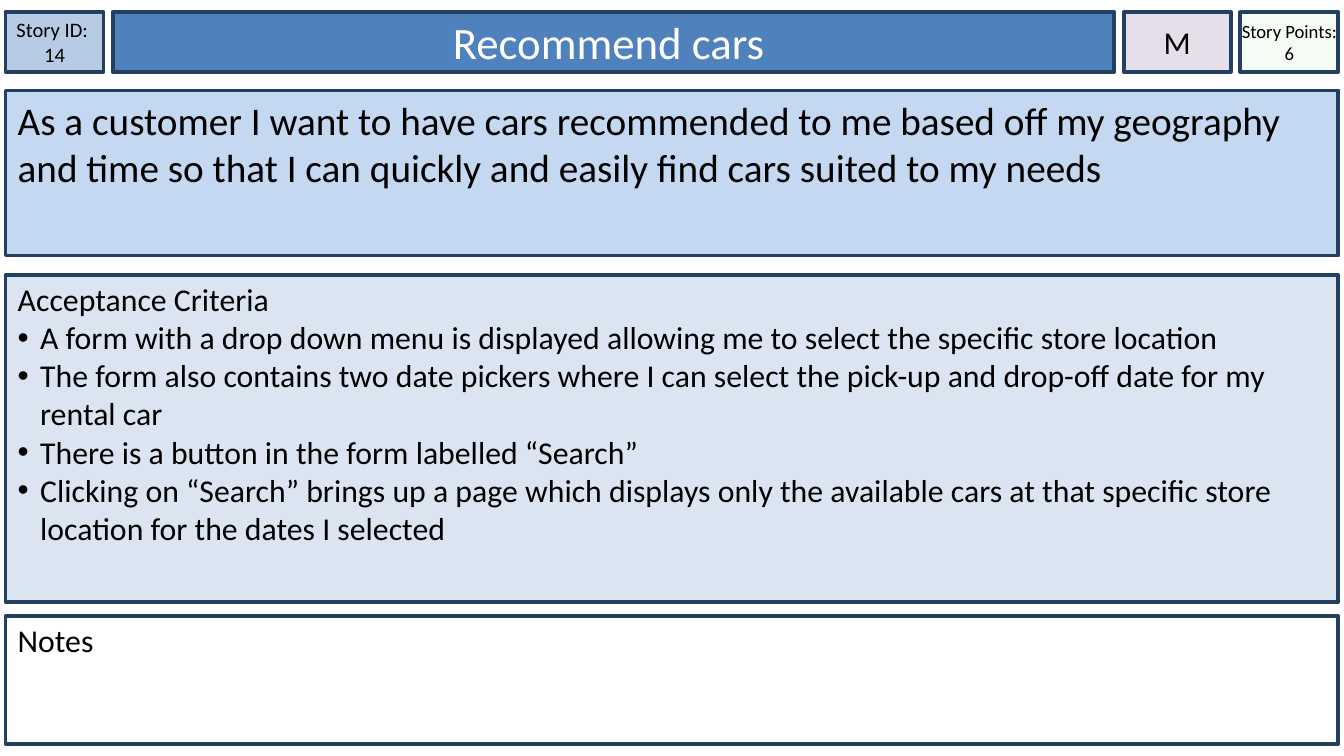
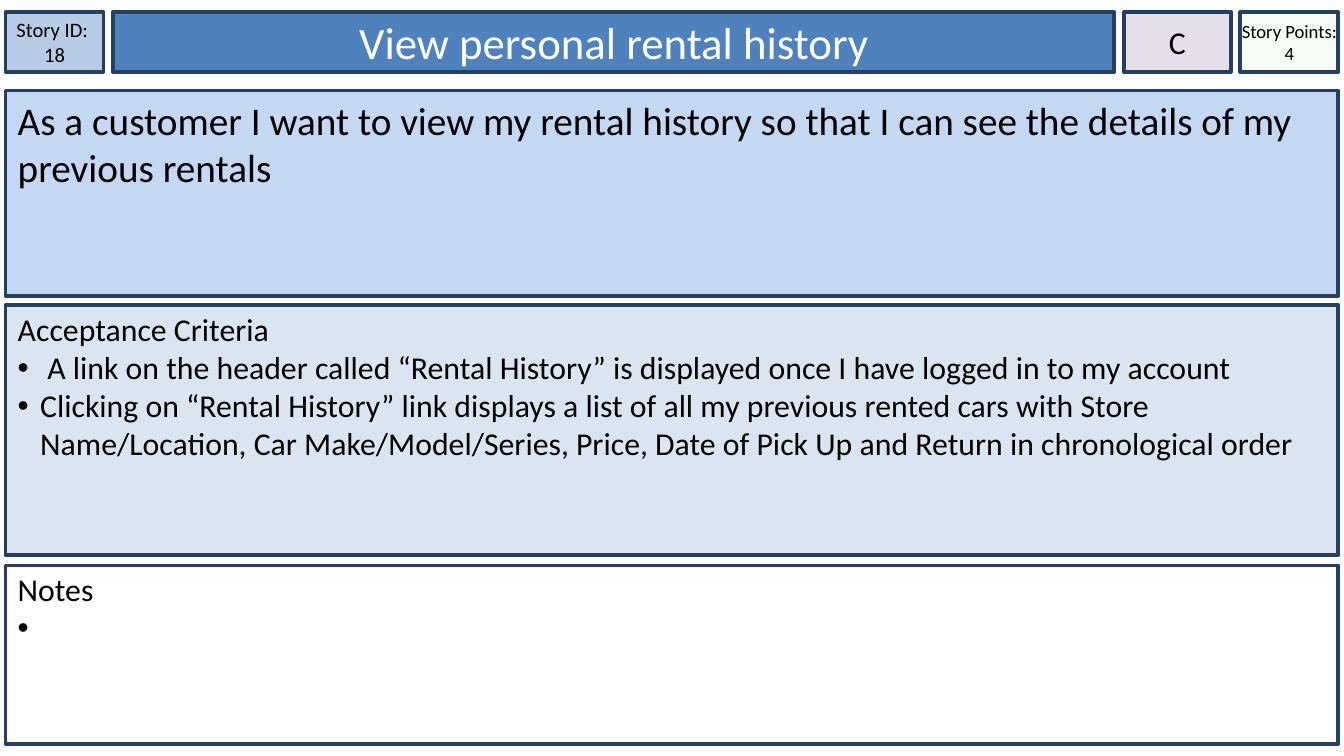
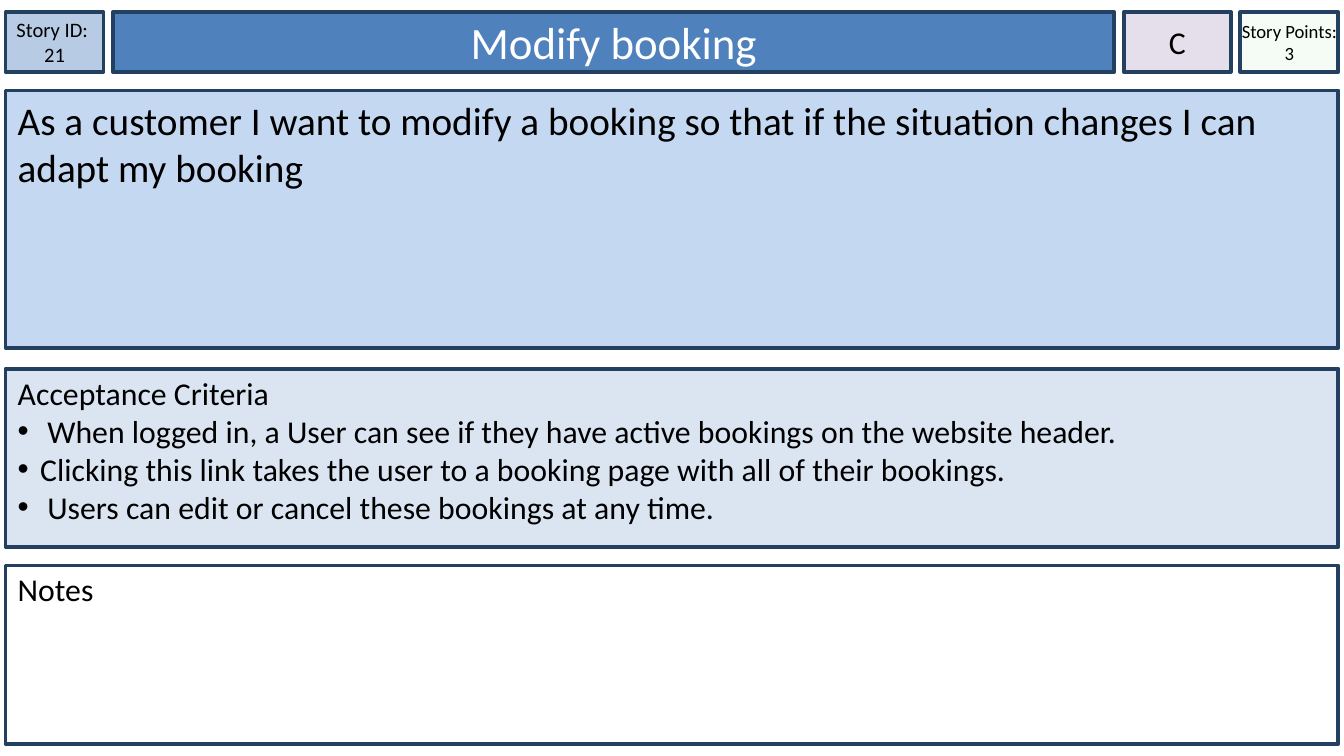
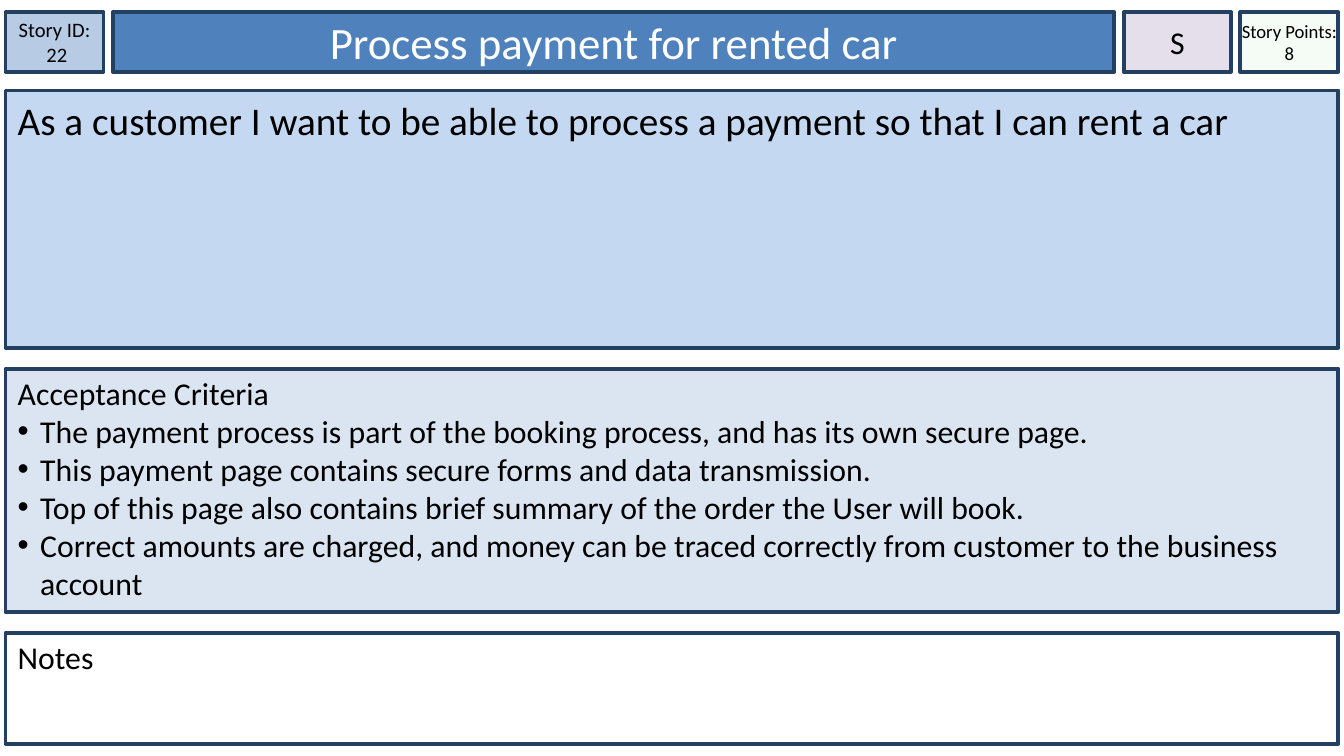
from dataclasses import dataclass
from typing import Optional

from lxml.etree import SubElement
from pptx import Presentation
from pptx.dml.color import RGBColor
from pptx.enum.shapes import MSO_SHAPE
from pptx.enum.text import MSO_ANCHOR, MSO_AUTO_SIZE, PP_ALIGN
from pptx.oxml.ns import qn
from pptx.util import Pt

FONT = "Calibri"
BLACK = "000000"
WHITE = "FFFFFF"
BORDER = "244061"

LEFT = 3
RIGHT = 717
BOTTOM = 398.5
HEADER_TOP = 6.5
HEADER_HEIGHT = 32
HEADER_GAP = 5
STORY_TOP = 48.5
BULLET_INDENT = 12


@dataclass(frozen=True)
class BoxStyle:
    fill: str
    size: float
    color: str = BLACK
    side_inset: float = 6.5
    top_inset: float = 3
    centered: bool = False
    opacity: Optional[int] = None


@dataclass(frozen=True)
class HeaderCell:
    name: str
    width: float
    style: BoxStyle


@dataclass(frozen=True)
class Text:
    content: str
    bulleted: bool = False


@dataclass(frozen=True)
class Story:
    story_id: tuple[str, ...]
    title: str
    priority: str
    points: tuple[str, ...]
    summary: str
    criteria: tuple[str, ...]
    story_height: float
    criteria_top: float
    criteria_height: float
    remarks_top: float
    remarks: tuple[str, ...] = ()


HEADER = (
    HeaderCell("id", 52.5, BoxStyle("B7CCE4", 11, side_inset=0, centered=True)),
    HeaderCell("title", 536.5, BoxStyle("4F81BD", 24, WHITE, centered=True)),
    HeaderCell("priority", 57.5, BoxStyle("E5DFEC", 17, side_inset=0, centered=True)),
    HeaderCell("points", 52.5, BoxStyle("CCF0CD", 10, side_inset=0, centered=True, opacity=20)),
)
SUMMARY_STYLE = BoxStyle("C5D8F1", 21)
CRITERIA_STYLE = BoxStyle("DAE5F1", 17, top_inset=2.5)
REMARKS_STYLE = BoxStyle(WHITE, 17, top_inset=2.5)

STORIES = (
    Story(
        ("Story ID: ", "14"), "Recommend cars ", "M", ("Story Points: 6",),
        "As a customer I want to have cars recommended to me based off my geography "
        "and time so that I can quickly and easily find cars suited to my needs",
        (
            "A form with a drop down menu is displayed allowing me to select the specific store location",
            "The form also contains two date pickers where I can select the pick-up and drop-off date "
            "for my rental car",
            "There is a button in the form labelled “Search”",
            "Clicking on “Search” brings up a page which displays only the available cars at that "
            "specific store location for the dates I selected",
        ),
        88.5, 147.5, 175, 330,
    ),
    Story(
        ("Story ID: ", "18"), "View personal rental history", "C", ("Story Points:", "4"),
        "As a customer I want to view my rental history so that I can see the details of my "
        "previous rentals",
        (
            " A link on the header called “Rental History” is displayed once I have logged in to my account",
            "Clicking on “Rental History” link displays a list of all my previous rented cars with Store "
            "Name/Location, Car Make/Model/Series, Price, Date of Pick Up and Return in chronological order",
        ),
        110, 163.5, 134, 303, remarks=(" ",),
    ),
    Story(
        ("Story ID: ", "21"), "Modify booking", "C", ("Story Points: 3",),
        "As a customer I want to modify a booking so that if the situation changes I can "
        "adapt my booking",
        (
            " When logged in, a User can see if they have active bookings on the website header.",
            "Clicking this link takes the user to a booking page with all of their bookings.",
            " Users can edit or cancel these bookings at any time.",
        ),
        138, 197.5, 95.5, 303,
    ),
    Story(
        ("Story ID:", " 22"), "Process payment for rented car", "S", ("Story Points: 8",),
        "As a customer I want to be able to process a payment so that I can rent a car",
        (
            "The payment process is part of the booking process, and has its own secure page.",
            "This payment page contains secure forms and data transmission.",
            "Top of this page also contains brief summary of the order the User will book.",
            "Correct amounts are charged, and money can be traced correctly from customer to the "
            "business account",
        ),
        138, 197.5, 130.5, 339,
    ),
)


def rgb(value: str) -> RGBColor:
    return RGBColor.from_string(value)


def set_bullet(paragraph, bulleted: bool) -> None:
    properties = paragraph._p.get_or_add_pPr()
    indent = Pt(BULLET_INDENT) if bulleted else 0
    properties.set("marL", str(indent))
    properties.set("indent", str(-indent))
    if bulleted:
        SubElement(properties, qn("a:buFont"), typeface="Arial")
        SubElement(properties, qn("a:buChar"), char="•")
    else:
        SubElement(properties, qn("a:buNone"))


def write_texts(shape, texts: list[Text], style: BoxStyle) -> None:
    frame = shape.text_frame
    frame.word_wrap = True
    frame.auto_size = MSO_AUTO_SIZE.NONE
    frame.vertical_anchor = MSO_ANCHOR.MIDDLE if style.centered else MSO_ANCHOR.TOP
    frame.margin_left = frame.margin_right = Pt(style.side_inset)
    frame.margin_top, frame.margin_bottom = Pt(style.top_inset), Pt(3)
    for index, text in enumerate(texts):
        paragraph = frame.add_paragraph() if index else frame.paragraphs[0]
        paragraph.alignment = PP_ALIGN.CENTER if style.centered else PP_ALIGN.LEFT
        paragraph.space_before = Pt(0)
        set_bullet(paragraph, text.bulleted)
        run = paragraph.add_run()
        run.text = text.content
        run.font.name = FONT
        run.font.size = Pt(style.size)
        run.font.color.rgb = rgb(style.color)


def draw_box(slide, left: float, top: float, width: float, height: float,
             style: BoxStyle, texts: list[Text], placeholder=None) -> None:
    area = Pt(left), Pt(top), Pt(width), Pt(height)
    shape = placeholder
    if shape is None:
        shape = slide.shapes.add_shape(MSO_SHAPE.RECTANGLE, *area)
    shape.left, shape.top, shape.width, shape.height = area
    shape.shadow.inherit = False
    shape.fill.solid()
    shape.fill.fore_color.rgb = rgb(style.fill)
    if style.opacity is not None:
        color = shape._element.spPr.find(qn("a:solidFill"))[0]
        SubElement(color, qn("a:alpha"), val=str(style.opacity * 1000))
    shape.line.color.rgb = rgb(BORDER)
    shape.line.width = Pt(2)
    write_texts(shape, texts, style)


def draw_header(slide, story: Story) -> None:
    contents = {
        "id": story.story_id,
        "title": (story.title,),
        "priority": (story.priority,),
        "points": story.points,
    }
    left = LEFT
    for cell in HEADER:
        placeholder = slide.shapes.title if cell.name == "title" else None
        texts = [Text(content) for content in contents[cell.name]]
        draw_box(slide, left, HEADER_TOP, cell.width, HEADER_HEIGHT, cell.style, texts, placeholder)
        left += cell.width + HEADER_GAP


def headed_list(heading: str, items: tuple[str, ...]) -> list[Text]:
    return [Text(heading)] + [Text(item, bulleted=True) for item in items]


def draw_story(presentation, story: Story) -> None:
    slide = presentation.slides.add_slide(presentation.slide_layouts[1])
    width = RIGHT - LEFT
    draw_header(slide, story)
    draw_box(slide, LEFT, STORY_TOP, width, story.story_height, SUMMARY_STYLE, [Text(story.summary)])
    draw_box(slide, LEFT, story.criteria_top, width, story.criteria_height, CRITERIA_STYLE,
             headed_list("Acceptance Criteria", story.criteria), slide.placeholders[1])
    draw_box(slide, LEFT, story.remarks_top, width, BOTTOM - story.remarks_top, REMARKS_STYLE,
             headed_list("Notes", story.remarks))


def main() -> None:
    presentation = Presentation()
    presentation.slide_width, presentation.slide_height = Pt(720), Pt(405)
    for story in STORIES:
        draw_story(presentation, story)
    presentation.save("out.pptx")


if __name__ == "__main__":
    main()
